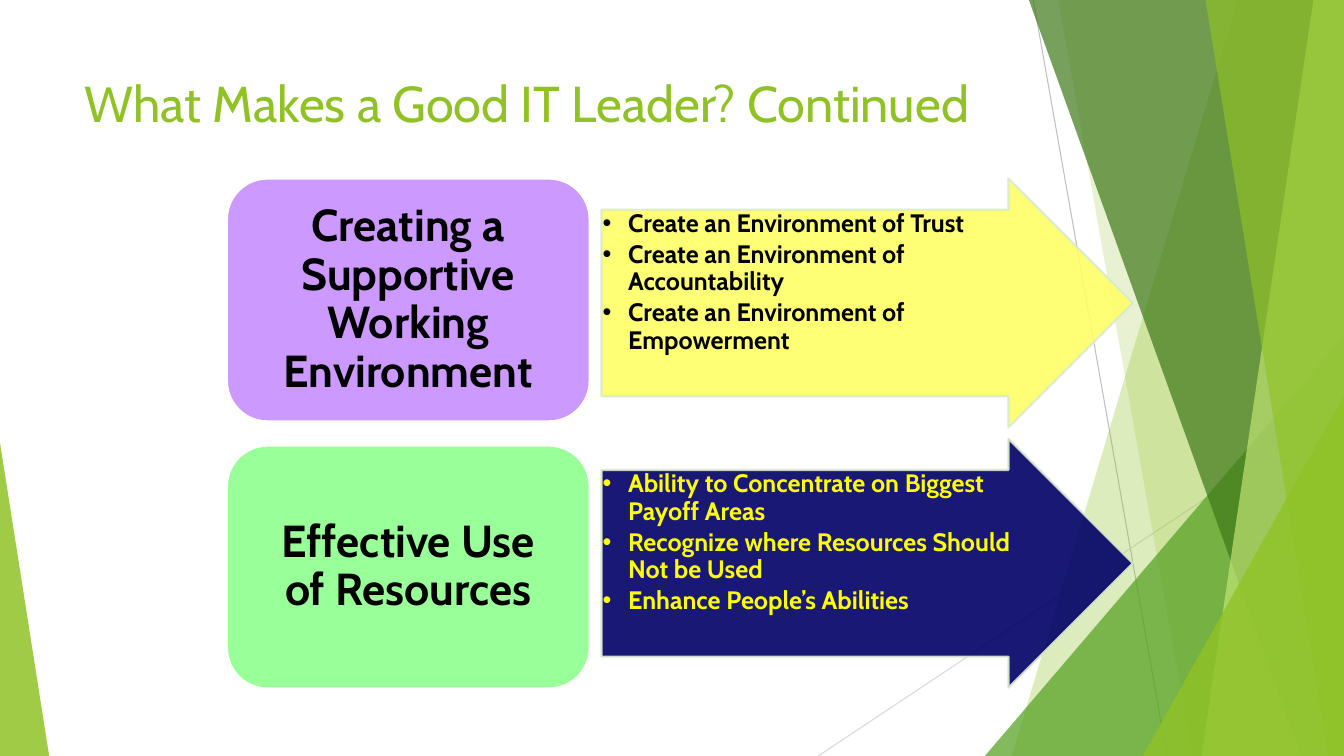
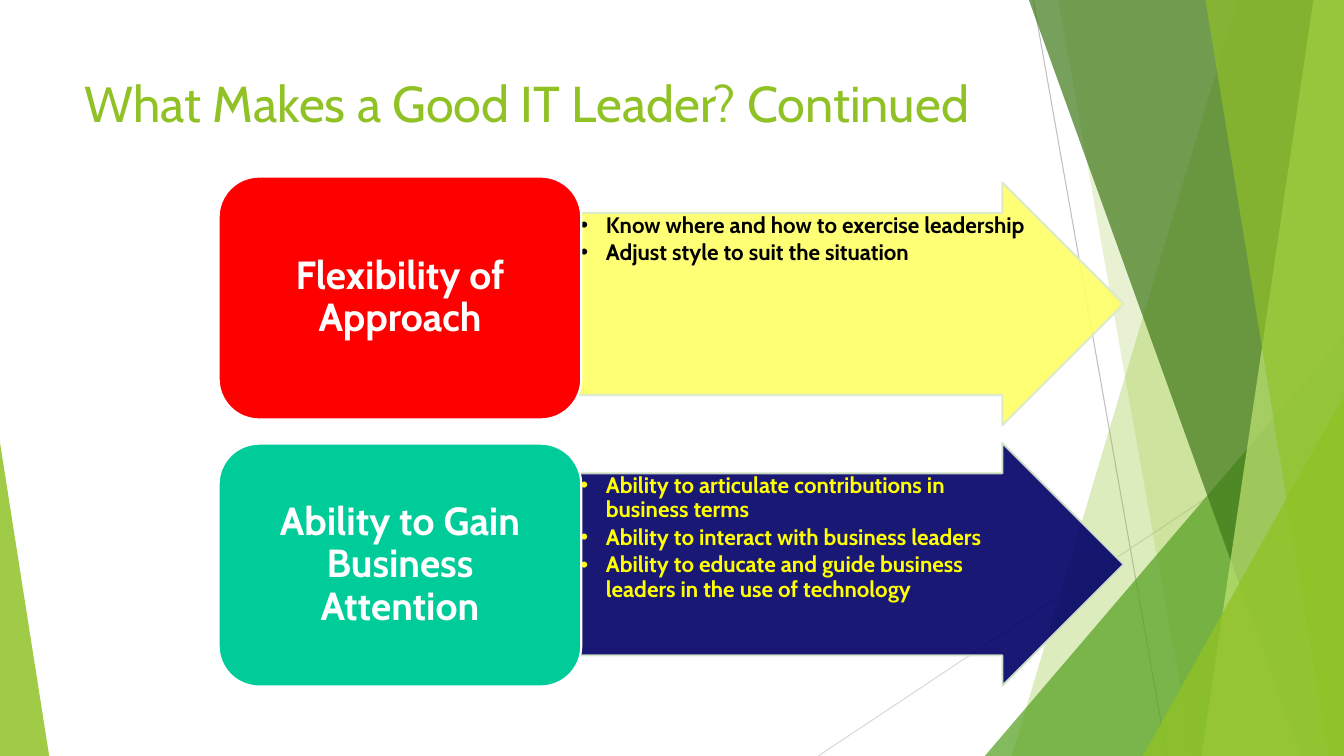
from dataclasses import dataclass

from lxml import etree
from pptx import Presentation
from pptx.dml.color import RGBColor
from pptx.enum.shapes import MSO_CONNECTOR, MSO_SHAPE
from pptx.enum.text import MSO_ANCHOR, PP_ALIGN
from pptx.oxml.ns import qn
from pptx.util import Cm, Pt

ARROW = MSO_SHAPE.RIGHT_ARROW
ROUND = MSO_SHAPE.ROUNDED_RECTANGLE
WEDGE = MSO_SHAPE.ISOSCELES_TRIANGLE
STRAIGHT = MSO_CONNECTOR.STRAIGHT
TOP, MIDDLE = MSO_ANCHOR.TOP, MSO_ANCHOR.MIDDLE
LEFT, CENTER = PP_ALIGN.LEFT, PP_ALIGN.CENTER


@dataclass(frozen=True)
class Theme:
    font: str = "Cabin"
    green: str = "90C226"
    leaf: str = "54A021"
    forest: str = "3F7819"
    lime: str = "C0E474"
    edge: str = "DBE9CD"
    white: str = "FFFFFF"
    black: str = "000000"
    yellow: str = "FFFF00"
    pale: str = "FFFF66"
    navy: str = "000066"
    title: int = 36
    hair: float = 0.75
    rim: float = 1.5


T = Theme()
WIDTH, HEIGHT = 33.87, 19.05

# Content: each row is (heading, box fill, points)
TITLE = "What Makes a Good IT Leader? Continued"
PAGES = [
    {
        "rows": [
            ("Creating a Supportive Working Environment", "CC99FF", [
                "Create an Environment of Trust",
                "Create an Environment of Accountability",
                "Create an Environment of Empowerment"]),
            ("Effective Use of Resources", "99FF99", [
                "Ability to Concentrate on Biggest Payoff Areas",
                "Recognize where Resources Should Not be Used",
                "Enhance People’s Abilities"]),
        ],
        "box": (5.72, 4.5, 9.14, 6.12), "arrow": (15.16, 4.5, 13.39, 6.27),
        "head": 32, "body": 18, "ink": T.black,
    },
    {
        "rows": [
            ("Flexibility of Approach", "FF0000", [
                "Know where and how to exercise leadership",
                "Adjust style to suit the situation"]),
            ("Ability to Gain Business Attention", "00CC99", [
                "Ability to articulate contributions in business terms",
                "Ability to interact with business leaders",
                "Ability to educate and guide business leaders "
                "in the use of technology"]),
        ],
        "box": (5.51, 4.45, 9.14, 6.12), "arrow": (14.6, 4.6, 13.72, 6.12),
        "head": 28, "body": 16, "ink": T.white,
    },
]
ARROWS = [(T.pale, T.black), (T.navy, T.yellow)]  # fill, text
BOX_STEP, ARROW_STEP = 6.73, 6.56

# Backdrop, from back to front
RAYS = [(26.04, 0, 29.41, HEIGHT, "BFBFBF"),
        (WIDTH, 10.24, 20.62, HEIGHT, "D9D9D9")]
# A facet runs from its slanted left side (top x, bottom x) to the right edge;
# a wedge stands on the bottom edge (left, top, width, apex).
FACETS = [
    ((31.19, 25.5), T.green, 30),
    ((26.67, 30.05), T.green, 20),
    ((24.82, 8.46, 9.05, 1), T.leaf, 72),
    ((25.93, 32.79), T.forest, 70),
    ((33.1, 30.28), T.lime, 70),
    ((30.38, 33.48), T.green, 65),
    ((28.8, 9.98, 5.07, 1), T.green, 80),
    ((0, 11.15, 1.24, 0), T.green, 85),
]

# Text formats
INSETS = ("margin_left", "margin_top", "margin_right", "margin_bottom")
HEAD = {"anchor": MIDDLE, "inset": (0.46, 0.23, 0.46, 0.23), "align": CENTER}
BODY = {"anchor": TOP, "inset": (0.03,) * 4, "align": LEFT}
NAME = {"anchor": TOP, "inset": (0.25, 0.13, 0.25, 0.13), "align": LEFT}


def put(item, values):
    for key, value in values.items():
        setattr(item, key, value)


def paint(shape, fill, line=None, alpha=100):
    shape.shadow.inherit = False
    shape.fill.solid()
    shape.fill.fore_color.rgb = RGBColor.from_string(fill)
    if line:
        shape.line.color.rgb = RGBColor.from_string(line)
        shape.line.width = Pt(T.rim)
    else:
        shape.line.fill.background()
    if alpha < 100:
        for node in shape.element.spPr.iter(qn("a:srgbClr")):
            etree.SubElement(node, qn("a:alpha"), val=str(alpha * 1000))


def dot(para):
    props = para._p.get_or_add_pPr()
    indent = Cm(0.64)
    props.set("marL", str(indent))
    props.set("indent", str(-indent))
    etree.SubElement(props, qn("a:buFont"), typeface="Arial")
    etree.SubElement(props, qn("a:buChar"), char="•")


def write(shape, lines, form, size, ink, bold=True, dots=False):
    frame = shape.text_frame
    put(frame, {"word_wrap": True, "vertical_anchor": form["anchor"]})
    put(frame, dict(zip(INSETS, map(Cm, form["inset"]))))
    for num, line in enumerate(lines):
        para = frame.add_paragraph() if num else frame.paragraphs[0]
        put(para, {"alignment": form["align"],
                   "line_spacing": 0.9 if bold else 1.0,
                   "space_after": Pt(size * 0.15 if dots else 0)})
        if dots:
            dot(para)
        run = para.add_run()
        run.text = line
        put(run.font, {"name": T.font, "size": Pt(size), "bold": bold})
        run.font.color.rgb = RGBColor.from_string(ink)


def draw_back(shapes):
    for *ends, tint in RAYS:
        ray = shapes.add_connector(STRAIGHT, *map(Cm, ends))
        ray.line.color.rgb = RGBColor.from_string(tint)
        ray.line.width = Pt(T.hair)
        etree.SubElement(ray.element.spPr, qn("a:effectLst"))
    for form, fill, alpha in FACETS:
        if len(form) == 2:
            top, base = map(Cm, form)
            pen = shapes.build_freeform(top, 0)
            pen.add_line_segments([(Cm(WIDTH), 0), (Cm(WIDTH), Cm(HEIGHT)),
                                   (base, Cm(HEIGHT))])
            facet = pen.convert_to_shape()
        else:
            left, top, wide, apex = form
            facet = shapes.add_shape(WEDGE, Cm(left), Cm(top), Cm(wide),
                                     Cm(HEIGHT - top))
            facet.adjustments[0] = apex
        paint(facet, fill, alpha=alpha)


def place(shapes, kind, area, shift):
    left, top, wide, high = area
    return shapes.add_shape(kind, Cm(left), Cm(top + shift), Cm(wide), Cm(high))


def draw_page(deck, page):
    shapes = deck.slides.add_slide(deck.slide_layouts[6]).shapes
    draw_back(shapes)
    name = shapes.add_textbox(Cm(1.88), Cm(1.7), Cm(23.88), Cm(3.66))
    write(name, [TITLE], NAME, T.title, T.green, bold=False)
    for num, (head, fill, points) in enumerate(page["rows"]):
        tint, ink = ARROWS[num]
        arrow = place(shapes, ARROW, page["arrow"], num * ARROW_STEP)
        arrow.adjustments[0] = 0.75
        paint(arrow, tint, T.edge, 90)
        write(arrow, points, BODY, page["body"], ink, dots=True)
        box = place(shapes, ROUND, page["box"], num * BOX_STEP)
        paint(box, fill, T.white)
        write(box, [head], HEAD, page["head"], page["ink"])


def main():
    deck = Presentation()
    deck.slide_width, deck.slide_height = Cm(WIDTH), Cm(HEIGHT)
    for page in PAGES:
        draw_page(deck, page)
    deck.save("out.pptx")


if __name__ == "__main__":
    main()
